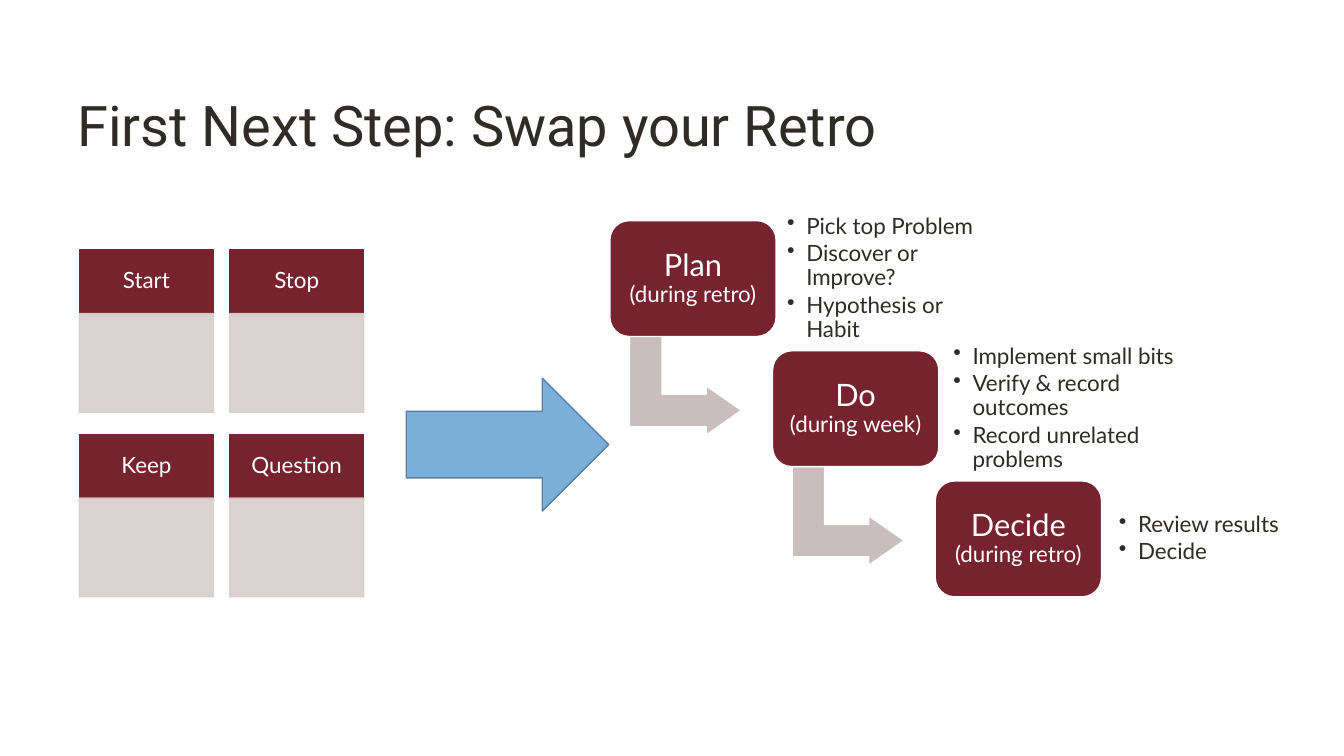
from pptx import Presentation
from pptx import util as u
from pptx.dml import color
from pptx.enum import shapes, text
from pptx.oxml import ns
from lxml import etree

WINE, PALE, ROSE, INK, WHITE = "76232F", "D6CDCD", "CABDBE", "2F2C27", "FFFFFF"
KIND = shapes.MSO_SHAPE


def rgb(code):
    return color.RGBColor.from_string(code)


def fade(node, share):
    for tint in node.iter(ns.qn("a:srgbClr")):
        etree.SubElement(tint, ns.qn("a:alpha"), val=str(share * 1000))


def write(frame, paras, size=16, font="Lato", ink=INK, align=text.PP_ALIGN.LEFT,
          pad=(0.25, 0.13, 0.25, 0.13), after=0, bullet=False):
    """Fill a frame; each paragraph is a list of (line, size) or a plain string."""
    frame.word_wrap = True
    frame.vertical_anchor = text.MSO_ANCHOR.MIDDLE
    (frame.margin_left, frame.margin_top,
     frame.margin_right, frame.margin_bottom) = map(u.Cm, pad)
    for i, lines in enumerate(paras):
        para = frame.add_paragraph() if i else frame.paragraphs[0]
        para.alignment, para.line_spacing = align, 0.9
        para.space_after = u.Pt(after)
        if isinstance(lines, str):
            lines = [(lines, size)]
        for j, (line, high) in enumerate(lines):
            if j:
                para.add_line_break()
            run = para.add_run()
            run.text = line
            run.font.size, run.font.name = u.Pt(high), font
            run.font.color.rgb = rgb(ink)
        if bullet:
            props = para._p.get_or_add_pPr()
            props.set("marL", str(u.Cm(0.48)))
            props.set("indent", str(-u.Cm(0.48)))
            etree.SubElement(props, ns.qn("a:buChar"), char="•")


class Deck:
    """Hold the house style and the current slide."""

    def __init__(self):
        self.show = Presentation()
        self.show.slide_width, self.show.slide_height = u.Cm(33.87), u.Cm(19.05)
        self.slide = self.show.slides.add_slide(self.show.slide_layouts[6])

    def label(self, box, paras, **style):
        item = self.slide.shapes.add_textbox(*map(u.Cm, box))
        write(item.text_frame, paras, **style)

    def shape(self, kind, box, fill, line, adjust=(), turn=0, alpha=100):
        item = self.slide.shapes.add_shape(kind, *map(u.Cm, box))
        item.shadow.inherit = False
        item.rotation = turn
        for i, value in enumerate(adjust):
            item.adjustments[i] = value
        item.fill.solid()
        item.fill.fore_color.rgb = rgb(fill)
        item.line.color.rgb = rgb(line)
        item.line.width = u.Pt(1)
        if alpha < 100:
            fade(item._element.spPr, alpha)
        return item

    def card(self, left, top, name):
        head = self.shape(KIND.RECTANGLE, (left, top, 3.38, 1.6), WINE, WINE)
        write(head.text_frame, [name], ink=WHITE, align=text.PP_ALIGN.CENTER,
              pad=(0.5, 0.3, 0.5, 0.3))
        self.shape(KIND.RECTANGLE, (left, top + 1.6, 3.38, 2.49), PALE, PALE, alpha=90)

    def step(self, left, top, name, when, notes, gap, width):
        block = self.shape(KIND.ROUNDED_RECTANGLE, (left, top, 4.19, 2.92),
                           WINE, WHITE, adjust=[0.167])
        write(block.text_frame, [[(name, 22), (when, 16)]], ink=WHITE,
              align=text.PP_ALIGN.CENTER, pad=[0.23] * 4)
        self.label((left + gap, top + 0.28, width, 2.36), notes,
                   pad=(0.18, 0.18, 0.25, 0.18), after=2.4, bullet=True)

    def bend(self, left, top):
        self.shape(KIND.BENT_UP_ARROW, (left + 0.66, top + 2.75, 2.49, 2.82),
                   ROSE, WHITE, adjust=[0.328, 0.25, 0.358], turn=90)


def main():
    deck = Deck()
    deck.label((1.7, 1.7, 30.48, 3.05), ["First Next Step: Swap your Retro"],
               size=40, font="Roboto")

    steps = [
        ("Plan", "(during retro)",
         ["Pick top Problem", "Discover or Improve?", "Hypothesis or Habit"], 4.29, 5.72),
        ("Do", "(during week)",
         ["Implement small bits", "Verify & record outcomes", "Record unrelated problems"],
         4.38, 7.01),
        ("Decide", "(during retro)", ["Review results", "Decide"], 4.45, 5.13),
    ]
    for i, step in enumerate(steps):
        left, top = 15.37 + 4.1 * i, 5.56 + 3.28 * i
        if i < len(steps) - 1:
            deck.bend(left, top)
        deck.step(left, top, *step)

    for i, name in enumerate(["Start", "Stop", "Keep", "Question"]):
        row, col = divmod(i, 2)
        deck.card(2 + 3.79 * col, 6.3 + 4.65 * row, name)

    deck.shape(KIND.RIGHT_ARROW, (10.24, 9.53, 5.1, 3.35), "7BAFDA", "5B81A1")
    deck.show.save("out.pptx")


if __name__ == "__main__":
    main()
